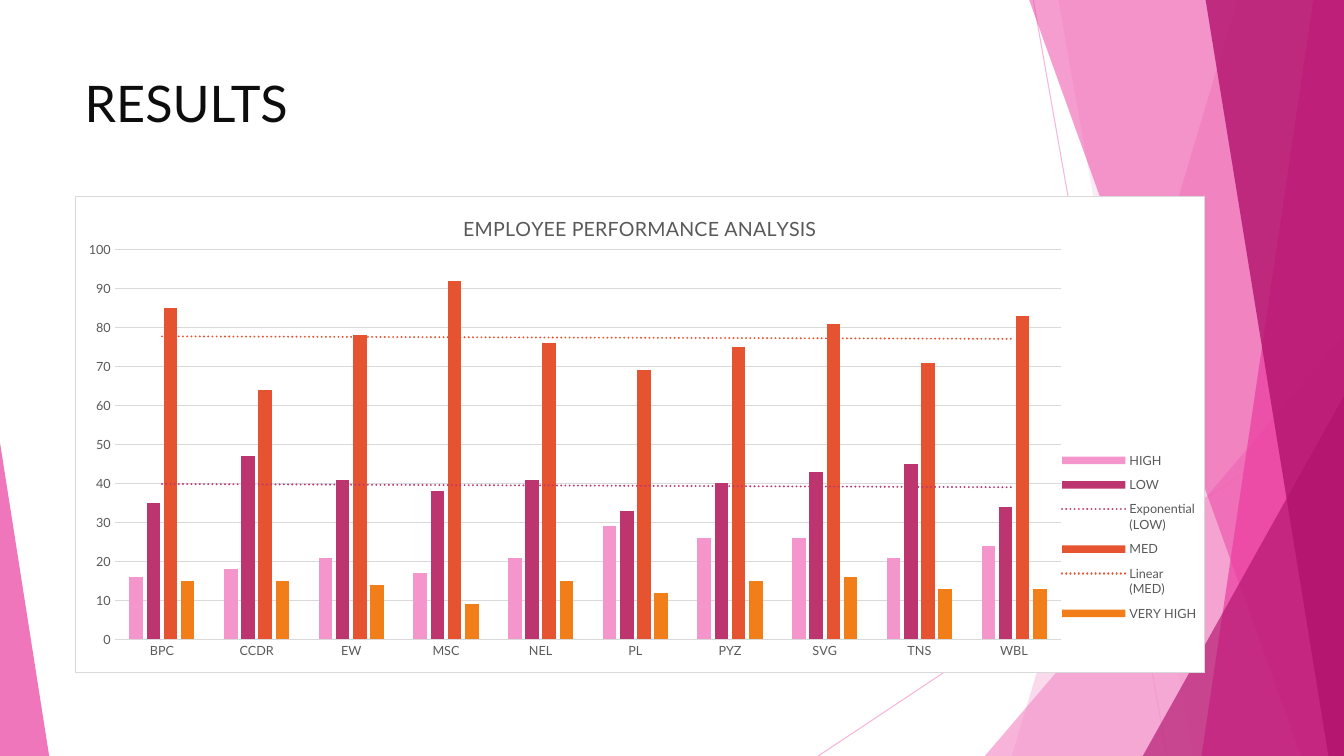
from lxml import etree
from pptx import Presentation
from pptx import util as u
from pptx.chart import data
from pptx.dml.color import RGBColor
from pptx.enum import chart as ch
from pptx.enum import dml, shapes, text
from pptx.oxml import ns, parse_xml

BLACK = RGBColor(0x00, 0x00, 0x00)
INK = RGBColor(0x0D, 0x0D, 0x0D)
GREY = RGBColor(0x59, 0x59, 0x59)
RULE = RGBColor(0xD9, 0xD9, 0xD9)
WHITE = RGBColor(0xFF, 0xFF, 0xFF)
PINK = RGBColor(0xF4, 0x96, 0xCB)
ROSE = RGBColor(0xEB, 0x3D, 0x9F)
PLUM = RGBColor(0xB2, 0x13, 0x6D)
BERRY = RGBColor(0xBC, 0x35, 0x6F)
RED = RGBColor(0xE6, 0x53, 0x31)
ORANGE = RGBColor(0xF2, 0x7E, 0x19)

WIDTH, HEIGHT = 33.87, 19.05  # cm

TEAMS = ["BPC", "CCDR", "EW", "MSC", "NEL", "PL", "PYZ", "SVG", "TNS", "WBL"]
# name, colour, trend line type, values
RATINGS = [
    ("HIGH", PINK, None, [16, 18, 21, 17, 21, 29, 26, 26, 21, 24]),
    ("LOW", BERRY, "exp", [35, 47, 41, 38, 41, 33, 40, 43, 45, 34]),
    ("MED", RED, "linear", [85, 64, 78, 92, 76, 69, 75, 81, 71, 83]),
    ("VERY HIGH", ORANGE, None, [15, 15, 14, 9, 15, 12, 15, 16, 13, 13]),
]


def apply(obj, **values):
    for name, value in values.items():
        setattr(obj, name, value)


def set_opacity(shape, percent):
    for color in shape.element.spPr.iter(ns.qn("a:srgbClr")):
        etree.SubElement(color, ns.qn("a:alpha")).set("val", str(percent * 1000))


def set_layout(element, index, inner, **box):
    """Place a chart part by fractions of the chart area."""
    for old in element.findall(ns.qn("c:layout")):
        element.remove(old)
    target = '<c:layoutTarget val="inner"/>' if inner else ""
    modes = "".join(f'<c:{k}Mode val="edge"/>' for k in "xy")
    sizes = "".join(f'<c:{k} val="{v}"/>' for k, v in box.items())
    element.insert(index, parse_xml(
        f'<c:layout {ns.nsdecls("c")}><c:manualLayout>{target}{modes}{sizes}'
        '</c:manualLayout></c:layout>'))


def add_trend(series, kind, color):
    trend = parse_xml(
        f'<c:trendline {ns.nsdecls("c", "a")}><c:spPr><a:ln w="19050" cap="rnd">'
        f'<a:solidFill><a:srgbClr val="{color}"/></a:solidFill>'
        '<a:prstDash val="sysDot"/></a:ln></c:spPr>'
        f'<c:trendlineType val="{kind}"/><c:dispRSqr val="0"/>'
        '<c:dispEq val="0"/></c:trendline>')
    series._element.find(ns.qn("c:cat")).addprevious(trend)


class Deck:
    font = "Lato"

    def __init__(self):
        self.prs = Presentation()
        apply(self.prs, slide_width=u.Cm(WIDTH), slide_height=u.Cm(HEIGHT))
        self.s = self.prs.slides.add_slide(self.prs.slide_layouts[5])

    def style(self, font, size, color):
        apply(font, name=self.font, size=u.Pt(size), bold=False)
        font.color.rgb = color

    def stroke(self, line, color):
        line.color.rgb = color
        line.width = u.Pt(0.75)

    def paint(self, sp, color, opacity):
        sp.shadow.inherit = False
        sp.fill.solid()
        sp.fill.fore_color.rgb = color
        sp.line.fill.background()
        set_opacity(sp, opacity)

    def line(self, *ends):
        sp = self.s.shapes.add_connector(
            shapes.MSO_CONNECTOR.STRAIGHT, *map(u.Cm, ends))
        self.stroke(sp.line, PINK)
        set_opacity(sp, 70)
        etree.SubElement(sp.element.spPr, ns.qn("a:effectLst"))

    def shard(self, top_x, bottom_x, color, opacity):
        """Full-height band between a slanted edge and the right slide edge."""
        corners = [(top_x, -0.02), (WIDTH, -0.02), (WIDTH, HEIGHT), (bottom_x, HEIGHT)]
        start, *rest = [(u.Cm(x), u.Cm(y)) for x, y in corners]
        builder = self.s.shapes.build_freeform(*start)
        builder.add_line_segments(rest, close=True)
        self.paint(builder.convert_to_shape(), color, opacity)

    def triangle(self, left, top, width, apex, color, opacity):
        """Triangle standing on the bottom edge of the slide."""
        sp = self.s.shapes.add_shape(
            shapes.MSO_SHAPE.ISOSCELES_TRIANGLE,
            *map(u.Cm, (left, top, width, HEIGHT - top)))
        sp.adjustments[0] = apex
        self.paint(sp, color, opacity)

    def title(self, words, left, top, width, height):
        sp = self.s.shapes.title
        apply(sp, left=u.Cm(left), top=u.Cm(top),
              width=u.Cm(width), height=u.Cm(height))
        tf = sp.text_frame
        apply(tf, word_wrap=True, vertical_anchor=text.MSO_ANCHOR.TOP)
        p = tf.paragraphs[0]
        p.alignment = text.PP_ALIGN.LEFT
        r = p.add_run()
        r.text = words
        self.style(r.font, 36, INK)

    def chart(self, heading, *box):
        table = data.CategoryChartData(number_format="General")
        table.categories = TEAMS
        for name, _, _, values in RATINGS:
            table.add_series(name, values)
        chart = self.s.shapes.add_chart(
            ch.XL_CHART_TYPE.COLUMN_CLUSTERED, *map(u.Cm, box), table).chart
        self.style(chart.font, 10, BLACK)
        self.chart_area(chart)

        apply(chart, has_title=True, has_legend=True)
        r = chart.chart_title.text_frame.paragraphs[0].add_run()
        r.text = heading
        self.style(r.font, 14, GREY)
        apply(chart.legend, position=ch.XL_LEGEND_POSITION.RIGHT,
              include_in_layout=False)
        self.style(chart.legend.font, 9, GREY)
        set_layout(chart.legend._element, 1, False, x=0.88, y=0.52, w=0.12, h=0.39)
        area = chart.element.find(".//" + ns.qn("c:plotArea"))
        set_layout(area, 0, True, x=0.035, y=0.112, w=0.838, h=0.818)

        plot = chart.plots[0]
        apply(plot, gap_width=219, overlap=-27, vary_by_categories=False)
        for series, (_, color, trend, _) in zip(plot.series, RATINGS):
            series.format.fill.solid()
            series.format.fill.fore_color.rgb = color
            series.invert_if_negative = False
            if trend:
                add_trend(series, trend, color)
        self.axes(chart)

    def chart_area(self, chart):
        chart.element.find(ns.qn("c:txPr")).addprevious(parse_xml(
            f'<c:spPr {ns.nsdecls("c", "a")}>'
            f'<a:solidFill><a:srgbClr val="{WHITE}"/></a:solidFill>'
            f'<a:ln w="9525"><a:solidFill><a:srgbClr val="{RULE}"/></a:solidFill>'
            '</a:ln></c:spPr>'))

    def axes(self, chart):
        cats, vals = chart.category_axis, chart.value_axis
        for axis in (cats, vals):
            apply(axis, major_tick_mark=ch.XL_TICK_MARK.NONE,
                  minor_tick_mark=ch.XL_TICK_MARK.NONE)
            self.style(axis.tick_labels.font, 9, GREY)
        self.stroke(cats.format.line, RULE)
        apply(vals, minimum_scale=0, maximum_scale=100, major_unit=10,
              has_major_gridlines=True)
        vals.format.line.fill.background()
        self.stroke(vals.major_gridlines.format.line, RULE)
        vals.major_gridlines.format.line.dash_style = dml.MSO_LINE.SOLID


def main():
    deck = Deck()
    deck.line(26.04, 0, 29.41, HEIGHT)
    deck.line(WIDTH, 10.24, 20.62, HEIGHT)
    deck.shard(31.19, 25.5, PINK, 36)
    deck.shard(26.67, 30.05, PINK, 20)
    deck.triangle(24.82, 8.46, WIDTH - 24.82, 1, PINK, 72)
    deck.shard(25.93, 32.79, ROSE, 50)
    deck.shard(33.1, 30.28, ROSE, 70)
    deck.shard(30.38, 33.48, PLUM, 80)
    deck.triangle(28.8, 9.98, WIDTH - 28.8, 1, PLUM, 66)
    deck.triangle(0, 11.15, 1.24, 0, ROSE, 70)
    deck.title("RESULTS", 1.88, 1.7, 23.88, 3.66)
    deck.chart("EMPLOYEE PERFORMANCE ANALYSIS", 1.88, 4.93, 28.5, 12.04)
    deck.prs.save("out.pptx")


if __name__ == "__main__":
    main()
